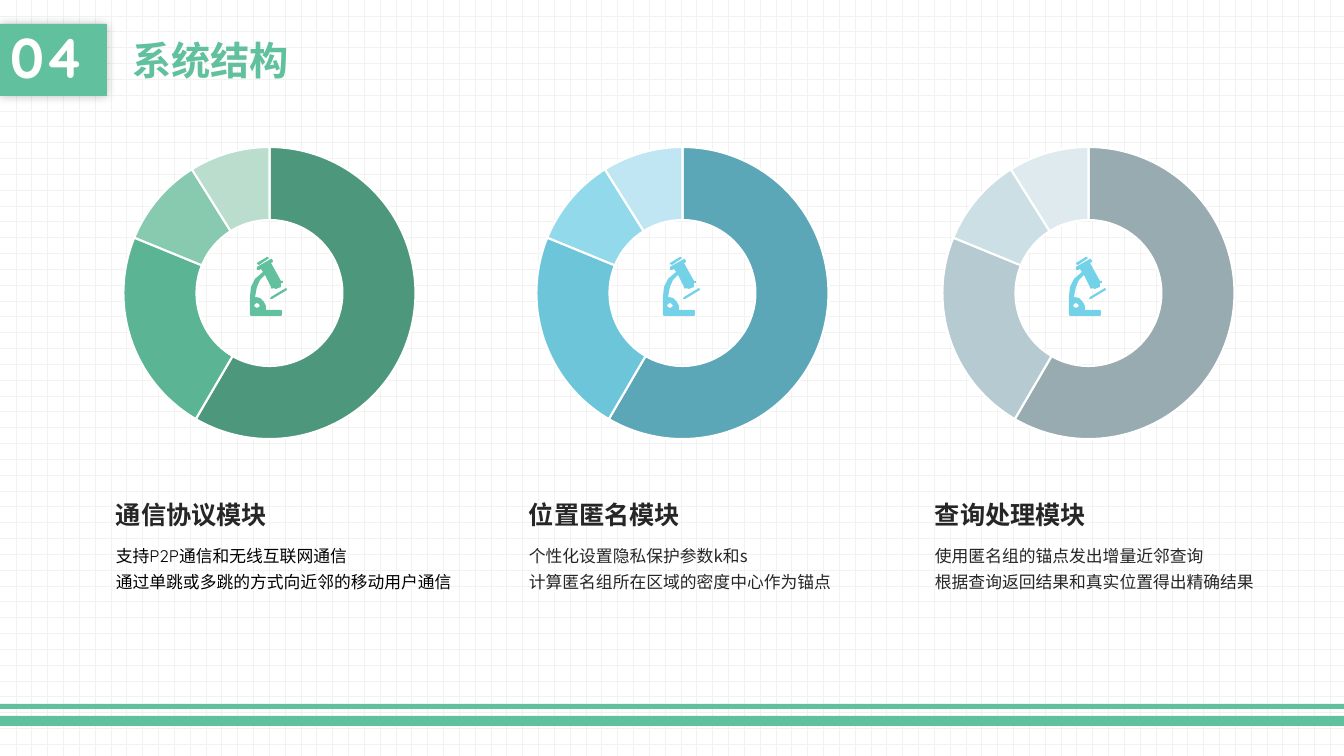
from lxml.etree import SubElement
from pptx import Presentation
from pptx.chart.data import CategoryChartData
from pptx.dml.color import RGBColor
from pptx.enum.chart import XL_CHART_TYPE as Chart
from pptx.enum.dml import MSO_PATTERN as Pattern
from pptx.enum.shapes import MSO_SHAPE as Shape
from pptx.enum.text import MSO_ANCHOR as Anchor, MSO_AUTO_SIZE as Auto, PP_ALIGN as Align
from pptx.oxml import parse_xml
from pptx.oxml.ns import nsdecls, qn
from pptx.util import Pt

SCALE = 914400 / 100.8
GREEN = RGBColor(0x61, 0xC0, 0x9E)
BLUE = RGBColor(0x73, 0xD2, 0xE8)
WHITE = RGBColor(0xFF, 0xFF, 0xFF)
PALE = RGBColor(0xF2, 0xF2, 0xF2)
BLACK = RGBColor(0, 0, 0)
DARK = RGBColor(0x26, 0x26, 0x26)
SANS = "Quicksand"
NOTO = "Noto Sans CJK SC"

# Left edge, icon colour, ring colours, heading, body font, body colour, body width, lines
COLUMNS = [
    (91, GREEN, ["4D987D", "5BB494", "87CAB0", "BADDCE"], "通信协议模块", SANS, BLACK, 364,
     ["支持P2P通信和无线互联网通信", "通过单跳或多跳的方式向近邻的移动用户通信"]),
    (504, BLUE, ["5BA6B7", "6CC5D9", "92D9EB", "BFE6F2"], "位置匿名模块", NOTO, DARK, 327,
     ["个性化设置隐私保护参数k和s", "计算匿名组所在区域的密度中心作为锚点"]),
    (910, BLUE, ["98ABB0", "B5CBD1", "CBDFE4", "DEEAED"], "查询处理模块", NOTO, DARK, 341,
     ["使用匿名组的锚点发出增量近邻查询", "根据查询返回结果和真实位置得出精确结果"]),
]

# Microscope parts in px from the icon's corner; each part is a list of outlines
EYE = [[(8, 7), (10, 8), (19, 2), (20, 1), (19, 0), (18, 0), (8, 6)]]
BODY = [
    [(1, 40), (1, 58), (2, 59), (32, 59), (33, 58), (33, 54), (32, 53), (17, 53), (17, 49),
     (15, 45), (11, 41), (6, 40), (8, 30), (11, 23), (16, 18), (22, 30), (22, 31), (23, 32),
     (24, 31), (27, 32), (32, 30), (32, 26), (34, 26), (34, 24), (32, 24), (22, 6), (24, 5),
     (24, 4), (23, 2), (22, 2), (8, 10), (8, 13), (10, 13), (12, 12), (14, 15), (6, 22), (2, 30)],
    [(8, 46), (10, 47), (11, 49), (10, 50), (8, 51), (6, 50), (5, 49), (6, 47)],
]
STAGE = [[(21, 42), (23, 42), (38, 33), (38, 32), (37, 31), (22, 40)]]


def px(*sizes):
    """Turn px lengths into EMU."""
    return [round(size * SCALE) for size in sizes]


def write(frame, lines, size, color, name=SANS, bold=False, space=1.0):
    for i, line in enumerate(lines):
        para = frame.paragraphs[0] if i == 0 else frame.add_paragraph()
        para.text = line
        para.alignment = Align.LEFT
        para.line_spacing = space
        font = para.font
        font.size, font.bold, font.name = Pt(size), bold, name
        font.color.rgb = color


deck = Presentation()
deck.slide_width, deck.slide_height = px(1344, 756)
slide = deck.slides.add_slide(deck.slide_layouts[5])
shapes = slide.shapes

back = slide.background.fill
back.patterned()
back.pattern = Pattern.DOTTED_GRID
back.fore_color.rgb = PALE
back.back_color.rgb = WHITE

# Footer bars and number badge
for left, top, width, height in [(0, 716, 1344, 10), (0, 704, 1344, 5), (0, 24, 107, 72)]:
    block = shapes.add_shape(Shape.RECTANGLE, *px(left, top, width, height))
    block.shadow.inherit = False
    block.fill.solid()
    block.fill.fore_color.rgb = GREEN
    block.line.fill.background()

badge = block
badge.text_frame.vertical_anchor = Anchor.MIDDLE
badge.text_frame.word_wrap = True
write(badge.text_frame, ["04"], 40, WHITE, bold=True, space=0.9)
effect = badge._element.spPr.find(qn("a:effectLst"))
shade = SubElement(effect, qn("a:outerShdw"), blurRad=str(Pt(7)), dist="0", dir="0")
tint = SubElement(shade, qn("a:srgbClr"), val="000000")
SubElement(tint, qn("a:alpha"), val="25000")

title = shapes.title
title.left, title.top, title.width, title.height = px(122, 24, 710, 72)
title.text_frame.vertical_anchor = Anchor.MIDDLE
title.text_frame.auto_size = Auto.NONE
write(title.text_frame, ["系统结构"], 28, GREEN, bold=True)

# Three modules: ring chart, icon, heading, details
for left, color, rings, head, face, ink, width, lines in COLUMNS:
    data = CategoryChartData()
    data.categories = ["1", "2", "3", "4"]
    data.add_series("Series 1", [59, 23, 10, 9])
    chart = shapes.add_chart(Chart.DOUGHNUT, *px(left, 131, 357, 321), data).chart
    chart.has_legend = False
    chart.has_title = False
    chart.font.size, chart.font.name = Pt(10), SANS
    chart.font.color.rgb = BLACK
    plot = chart.plots[0]
    plot.vary_by_categories = True
    plot._element.find(qn("c:holeSize")).set("val", "75")
    for i, ring in enumerate(rings):
        part = plot.series[0].points[i].format
        part.fill.solid()
        part.fill.fore_color.rgb = RGBColor.from_string(ring)
        part.line.color.rgb = WHITE
        part.line.width = Pt(1.5)
    area = chart._chartSpace.chart.plotArea
    for old in area.findall(qn("c:layout")):
        area.remove(old)
    area.insert(0, parse_xml(
        f'<c:layout {nsdecls("c")}><c:manualLayout><c:layoutTarget val="inner"/>'
        '<c:xMode val="edge"/><c:yMode val="edge"/><c:x val="0.09"/><c:y val="0.05"/>'
        '<c:w val="0.82"/><c:h val="0.91"/></c:manualLayout></c:layout>'))

    icon = shapes.add_group_shape()
    for part in (EYE, BODY, STAGE):
        pen = icon.shapes.build_freeform(*part[0][0], scale=SCALE)
        pen.add_line_segments(part[0][1:])
        for hole in part[1:]:
            pen.move_to(*hole[0])
            pen.add_line_segments(hole[1:])
        piece = pen.convert_to_shape(*px(left + 158, 257))
        piece.shadow.inherit = False
        piece.fill.solid()
        piece.fill.fore_color.rgb = color
        piece.line.fill.background()

    label = shapes.add_textbox(*px(left + 15, 485, 173, 49)).text_frame
    label.word_wrap = False
    write(label, [head], 18, DARK, bold=True, space=1.3)
    note = shapes.add_textbox(*px(left + 15, 535, width, 64)).text_frame
    note.word_wrap = True
    write(note, lines, 12, ink, face, space=1.3)

deck.save("out.pptx")
